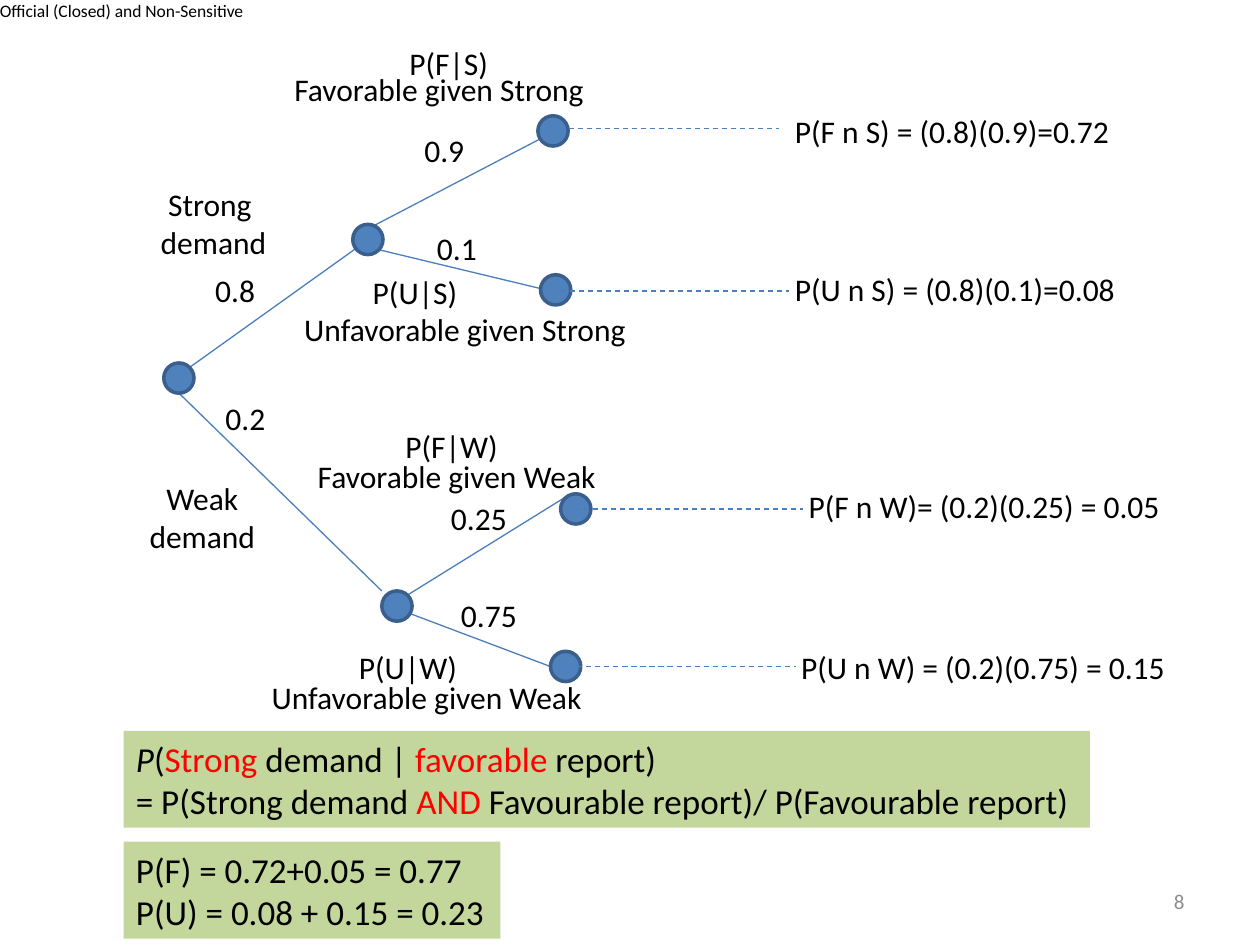
from dataclasses import dataclass

import lxml.etree
import pptx
import pptx.dml.color
import pptx.enum.dml
import pptx.enum.shapes
import pptx.enum.text
import pptx.oxml.ns
import pptx.shapes.autoshape
import pptx.slide
import pptx.util

Pt = pptx.util.Pt
RGBColor = pptx.dml.color.RGBColor
Align = pptx.enum.text.PP_ALIGN


@dataclass(frozen=True)
class Theme:
    """Colours, type sizes and shared dimensions in points."""
    font: str = "Calibri"
    text: str = "000000"
    accent: str = "FF0000"
    muted: str = "8C8C8C"
    node_fill: str = "4F81BD"
    node_line: str = "3A5F8C"
    branch: str = "4B7EBC"
    panel: str = "C3D69B"
    marking_size: float = 10
    number_size: float = 12
    label_size: float = 18
    formula_size: float = 20
    node_diameter: float = 17.3
    node_line_width: float = 2
    branch_width: float = 0.75
    leader_length: float = 130.3


@dataclass(frozen=True)
class Run:
    """A piece of text in one style."""
    text: str
    color: str
    italic: bool = False


@dataclass(frozen=True)
class Box:
    """A position and size in points."""
    left: float
    top: float
    width: float
    height: float = 28.8


@dataclass(frozen=True)
class Label:
    """Lines of tree text in a box."""
    lines: tuple[str, ...]
    box: Box
    centered: bool = False


@dataclass(frozen=True)
class Line:
    """A straight line between two points."""
    start: tuple[float, float]
    end: tuple[float, float]
    dashed: bool = False


@dataclass(frozen=True)
class Panel:
    """A filled box of formulas."""
    box: Box
    paragraphs: tuple[tuple[Run, ...], ...]


THEME = Theme()

NODES = (
    (93.6, 207.4), (201.6, 128.2), (218.2, 337.7), (307.4, 66.2),
    (308.9, 157), (320.4, 282.2), (314.6, 372.2),
)

BRANCHES = (
    Line((108, 210.2), (206.6, 139.7)),
    Line((102.2, 224.6), (218.2, 337.7)),
    Line((212.4, 129.6), (313.2, 77)),
    Line((216, 142.6), (308.9, 164.9)),
    Line((229.7, 342), (322.6, 284.4)),
    Line((226.8, 347.8), (314.6, 380.9)),
)

LEADER_STARTS = ((314.6, 73.4), (320.4, 166.3), (328.3, 290.9), (324.7, 380.9))

LABELS = (
    Label(("Strong ", "demand"), Box(84.2, 102.2, 75.6, 51.1), True),
    Label(("Weak", "demand"), Box(77.8, 270, 75.6, 51.1), True),
    Label(("Favorable given Strong",), Box(159.8, 36.7, 182.2), True),
    Label(("Unfavorable given Strong",), Box(165.6, 173.5, 200.2), True),
    Label(("Favorable given Weak",), Box(173.5, 257.8, 175), True),
    Label(("Unfavorable given Weak",), Box(146.9, 383.8, 193.7), True),
    Label(("P(F|S)",), Box(226.8, 21.6, 59.8)),
    Label(("P(U|S)",), Box(205.9, 152.6, 63.4)),
    Label(("P(F|W)",), Box(224.6, 240.5, 67.7)),
    Label(("P(U|W)",), Box(198, 366.5, 71.3)),
    Label(("P(F n S) = (0.8)(0.9)=0.72",), Box(447.1, 60.5, 196.6)),
    Label(("P(U n S) = (0.8)(0.1)=0.08",), Box(447.1, 150.5, 199.4)),
    Label(("P(F n W)= (0.2)(0.25) = 0.05",), Box(455, 275, 217.4)),
    Label(("P(U n W) = (0.2)(0.75) = 0.15",), Box(450.7, 366.5, 225.4)),
    Label(("0.8",), Box(115.9, 151.2, 37.4)),
    Label(("0.2",), Box(121.7, 224.6, 37.4)),
    Label(("0.9",), Box(235.4, 71.3, 37.4)),
    Label(("0.1",), Box(242.6, 127.4, 37.4)),
    Label(("0.25",), Box(250.6, 281.5, 46.8)),
    Label(("0.75",), Box(256.3, 337, 46.8)),
)

PANELS = (
    Panel(Box(70.6, 481, 215.3, 55.4), (
        (Run("P(F) = 0.72+0.05 = 0.77", THEME.text),),
        (Run("P(U) = 0.08 + 0.15 = 0.23", THEME.text),),
    )),
    Panel(Box(70.6, 417.6, 552.2, 55.4), (
        (
            Run("P", THEME.text, True), Run("(", THEME.text),
            Run("Strong", THEME.accent), Run(" demand | ", THEME.text),
            Run("favorable", THEME.accent), Run(" report)", THEME.text),
        ),
        (
            Run("= P(Strong demand ", THEME.text), Run("AND", THEME.accent),
            Run(" Favourable report)/ P(Favourable report)", THEME.text),
        ),
    )),
)


def points(box: Box) -> tuple[pptx.util.Length, ...]:
    """Return the box as slide lengths."""
    return Pt(box.left), Pt(box.top), Pt(box.width), Pt(box.height)


def write(shape: pptx.shapes.autoshape.Shape, paragraphs: tuple[tuple[Run, ...], ...],
          size: float, alignment: Align = Align.LEFT) -> None:
    """Fill a shape with unwrapped styled paragraphs."""
    frame = shape.text_frame
    frame.word_wrap = False
    frame.auto_size = pptx.enum.text.MSO_AUTO_SIZE.SHAPE_TO_FIT_TEXT
    for index, runs in enumerate(paragraphs):
        paragraph = frame.add_paragraph() if index else frame.paragraphs[0]
        paragraph.alignment = alignment
        for item in runs:
            run = paragraph.add_run()
            run.text = item.text
            run.font.name = THEME.font
            run.font.size = Pt(size)
            run.font.italic = item.italic
            run.font.color.rgb = RGBColor.from_string(item.color)


def draw_line(slide: pptx.slide.Slide, line: Line) -> None:
    """Draw a branch or a dashed leader."""
    connector = slide.shapes.add_connector(
        pptx.enum.shapes.MSO_CONNECTOR.STRAIGHT, *map(Pt, line.start + line.end))
    connector.line.color.rgb = RGBColor.from_string(THEME.branch)
    connector.line.width = Pt(THEME.branch_width)
    if line.dashed:
        connector.line.dash_style = pptx.enum.dml.MSO_LINE.DASH
    properties = connector.element.find(pptx.oxml.ns.qn("p:spPr"))
    lxml.etree.SubElement(properties, pptx.oxml.ns.qn("a:effectLst"))


def draw_node(slide: pptx.slide.Slide, left: float, top: float) -> None:
    """Draw a round tree node."""
    shape = slide.shapes.add_shape(
        pptx.enum.shapes.MSO_SHAPE.FLOWCHART_CONNECTOR,
        *points(Box(left, top, THEME.node_diameter, THEME.node_diameter)))
    shape.shadow.inherit = False
    shape.fill.solid()
    shape.fill.fore_color.rgb = RGBColor.from_string(THEME.node_fill)
    shape.line.color.rgb = RGBColor.from_string(THEME.node_line)
    shape.line.width = Pt(THEME.node_line_width)


def draw_label(slide: pptx.slide.Slide, label: Label) -> None:
    """Draw the text of one tree label."""
    shape = slide.shapes.add_textbox(*points(label.box))
    paragraphs = tuple((Run(text, THEME.text),) for text in label.lines)
    write(shape, paragraphs, THEME.label_size, Align.CENTER if label.centered else Align.LEFT)


def draw_panel(slide: pptx.slide.Slide, panel: Panel) -> None:
    """Draw a filled formula panel."""
    shape = slide.shapes.add_shape(pptx.enum.shapes.MSO_SHAPE.RECTANGLE, *points(panel.box))
    shape.shadow.inherit = False
    shape.fill.solid()
    shape.fill.fore_color.rgb = RGBColor.from_string(THEME.panel)
    shape.line.fill.background()
    write(shape, panel.paragraphs, THEME.formula_size)


def draw_margins(slide: pptx.slide.Slide) -> None:
    """Draw the classification marking and the slide number."""
    marking = slide.shapes.add_textbox(*points(Box(0, 0, 141.8, 12.2)))
    frame = marking.text_frame
    frame.margin_left = frame.margin_right = frame.margin_top = frame.margin_bottom = Pt(0)
    write(marking, ((Run("Official (Closed) and Non-Sensitive", THEME.text),),), THEME.marking_size)
    number = slide.shapes.add_textbox(*points(Box(516.2, 500.4, 167.8)))
    write(number, ((Run("8", THEME.muted),),), THEME.number_size, Align.RIGHT)
    number.text_frame.word_wrap = True
    number.text_frame.auto_size = pptx.enum.text.MSO_AUTO_SIZE.NONE
    number.text_frame.vertical_anchor = pptx.enum.text.MSO_ANCHOR.MIDDLE


def main() -> None:
    """Build and save the probability tree slide."""
    presentation = pptx.Presentation()
    presentation.slide_width, presentation.slide_height = Pt(720), Pt(540)
    slide = presentation.slides.add_slide(presentation.slide_layouts[6])
    draw_margins(slide)
    for branch in BRANCHES:
        draw_line(slide, branch)
    for left, top in NODES:
        draw_node(slide, left, top)
    for x, y in LEADER_STARTS:
        draw_line(slide, Line((x, y), (x + THEME.leader_length, y), True))
    for label in LABELS:
        draw_label(slide, label)
    for panel in PANELS:
        draw_panel(slide, panel)
    presentation.save("out.pptx")


if __name__ == "__main__":
    main()
